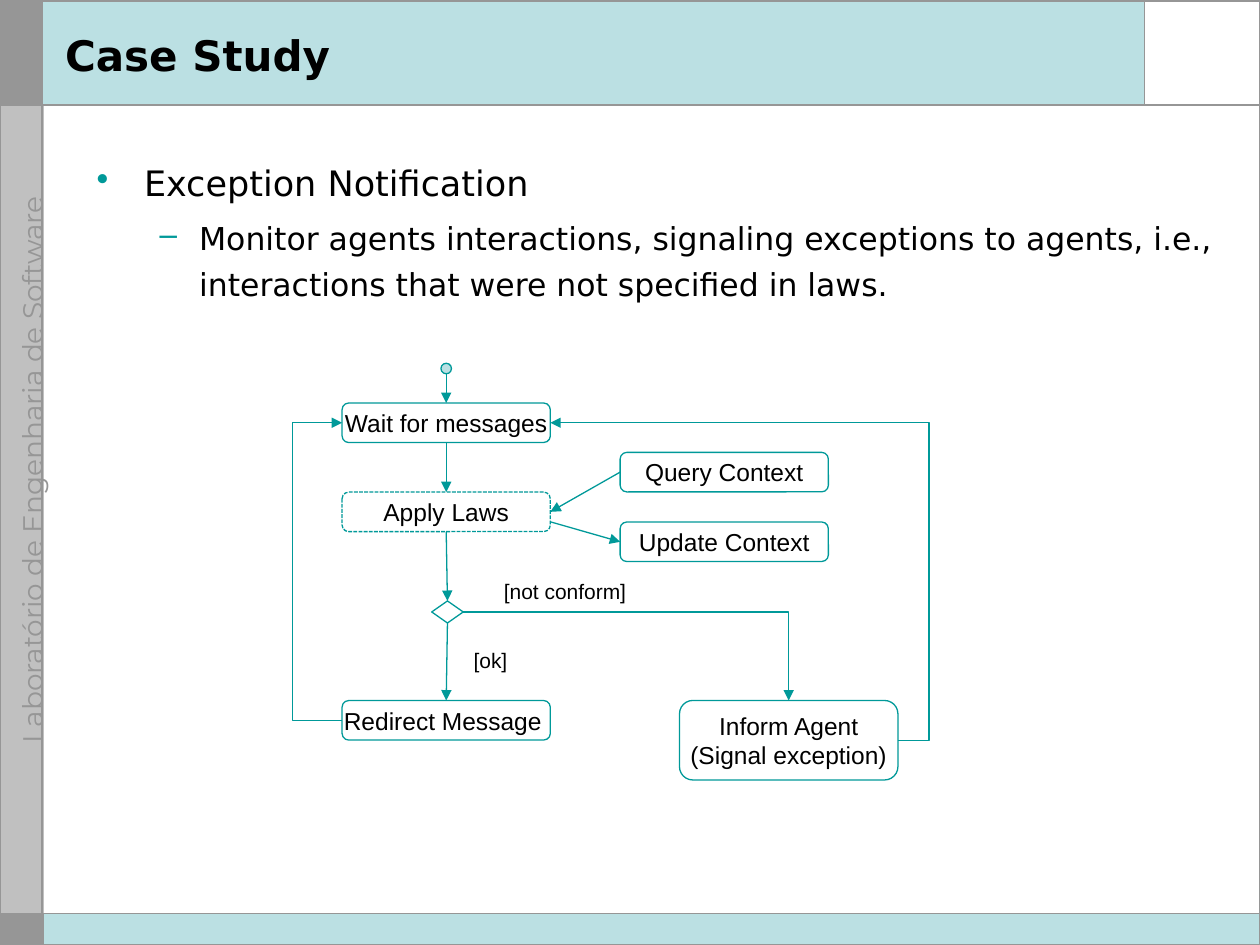
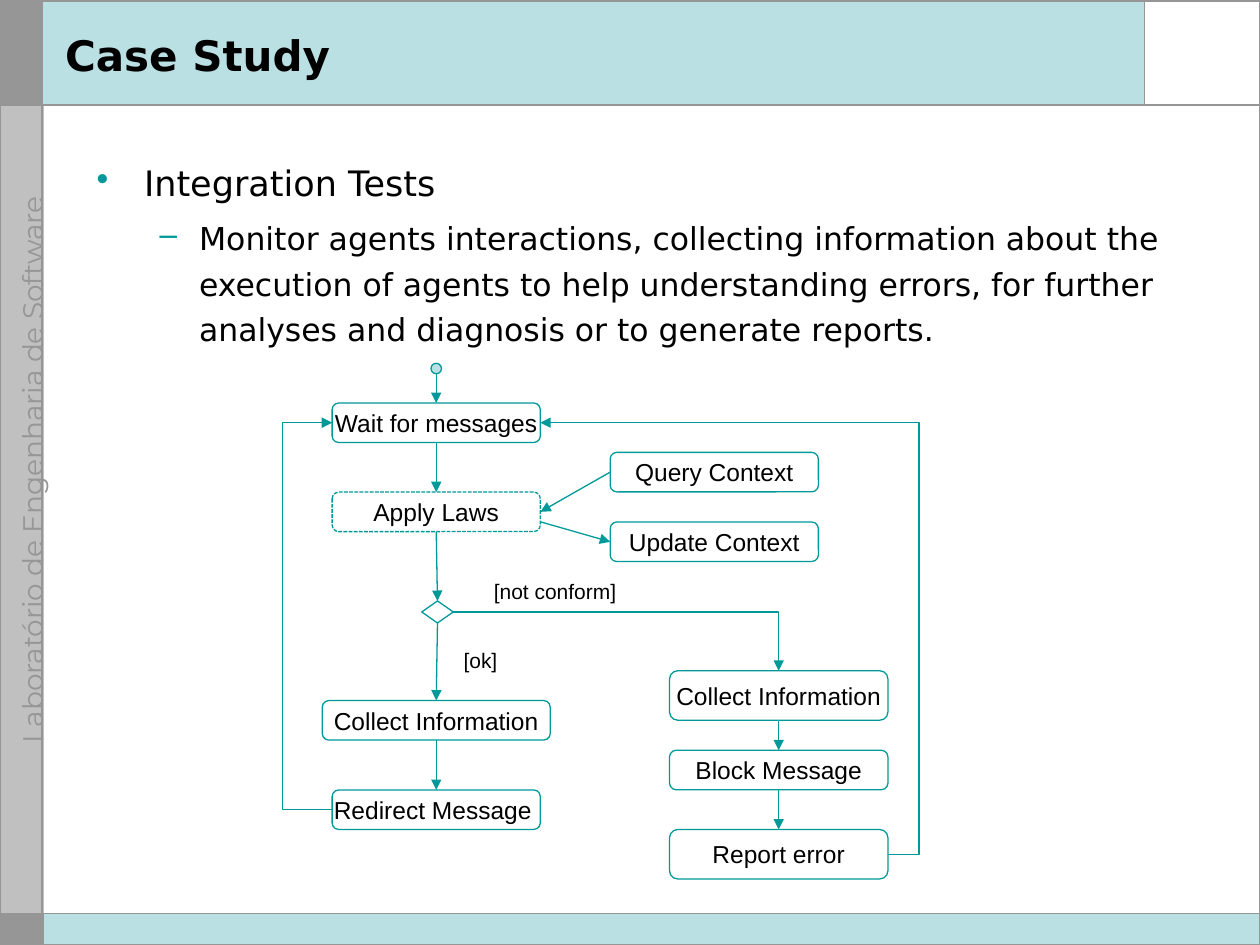
from dataclasses import dataclass

from lxml import etree
from pptx import Presentation
from pptx.dml.color import RGBColor
from pptx.enum.dml import MSO_LINE
from pptx.enum.shapes import MSO_CONNECTOR, MSO_SHAPE, PP_PLACEHOLDER
from pptx.enum.text import MSO_ANCHOR, MSO_AUTO_SIZE, PP_ALIGN
from pptx.oxml.ns import qn
from pptx.util import Pt

RECT, ROUND = MSO_SHAPE.RECTANGLE, MSO_SHAPE.ROUNDED_RECTANGLE
OVAL, DIAMOND = MSO_SHAPE.OVAL, MSO_SHAPE.DIAMOND
STRAIGHT, ELBOW = MSO_CONNECTOR.STRAIGHT, MSO_CONNECTOR.ELBOW
LEFT, CENTER = PP_ALIGN.LEFT, PP_ALIGN.CENTER
TOP, MIDDLE = MSO_ANCHOR.TOP, MSO_ANCHOR.MIDDLE
DOTS = MSO_LINE.SQUARE_DOT
# Connection sites
NORTH, WEST, SOUTH, EAST = range(4)


@dataclass(frozen=True)
class Theme:
    black: str = "000000"
    white: str = "FFFFFF"
    teal: str = "009999"
    pale: str = "BBE0E3"
    gray: str = "969696"
    silver: str = "C0C0C0"
    body: str = "DejaVu Sans"
    chart: str = "Arial"
    side: str = "Montserrat"
    title: int = 24
    head: int = 20
    sub: int = 18
    strip: int = 16
    node: int = 14
    label: int = 12
    thin: float = 0.75
    rule: float = 1


T = Theme()
WIDE, HIGH = 720, 540
BAND, FOOT, SIDE, CORNER = 60, 522, 24, 654

# Flow chart measures
BOX_W, BOX_H = 119, 22.6
END_W = 124.8
WAIT_Y, LAWS_Y, TEST_Y = 230.3, 281.2, 343.4
QUERY_Y, UPDATE_Y = 258.5, 298.3
OK_Y = 400.3
SIDE_DX, END_DX = 158.9, 195.7
LOOP_L, LOOP_R = -88, 276


def rgb(code):
    return RGBColor.from_string(code)


def bullet(para, char, left, hang):
    """Give a paragraph a coloured bullet and a hanging indent."""
    props = para._p.get_or_add_pPr()
    props.set("marL", str(Pt(left)))
    props.set("indent", str(-Pt(hang)))
    tint = etree.SubElement(props, qn("a:buClr"))
    etree.SubElement(tint, qn("a:srgbClr")).set("val", T.teal)
    etree.SubElement(props, qn("a:buChar")).set("char", char)


def write(frame, text, size=T.node, font=T.chart, color=T.black, bold=False,
          align=LEFT, anchor=TOP, wrap=False, mark=None, space=None, before=0):
    """Add one paragraph per line of text to a frame."""
    frame.word_wrap = wrap
    frame.auto_size = MSO_AUTO_SIZE.NONE
    frame.vertical_anchor = anchor
    for line in text.split("\n"):
        para = frame.add_paragraph() if frame.text else frame.paragraphs[0]
        if mark:
            bullet(para, *mark)
        para.alignment = align
        if space:
            para.line_spacing = space
        if before:
            para.space_before = Pt(before)
        run = para.add_run()
        run.text = line
        run.font.size, run.font.name, run.font.bold = Pt(size), font, bold
        run.font.color.rgb = rgb(color)


def shape(shapes, kind, x, y, w, h, fill=None, line=None, width=T.thin):
    item = shapes.add_shape(kind, Pt(x), Pt(y), Pt(w), Pt(h))
    item.shadow.inherit = False
    if fill:
        item.fill.solid()
        item.fill.fore_color.rgb = rgb(fill)
    else:
        item.fill.background()
    if line:
        item.line.color.rgb = rgb(line)
        item.line.width = Pt(width)
    else:
        item.line.fill.background()
    return item


def label(shapes, text, x, y, w, h, **form):
    box = shapes.add_textbox(Pt(x), Pt(y), Pt(w), Pt(h))
    write(box.text_frame, text, **form)
    return box


def node(shapes, text, mid, y, w=BOX_W, h=BOX_H):
    """Rounded step of the flow, centred on mid."""
    box = shape(shapes, ROUND, mid - w / 2, y, w, h, line=T.teal)
    box.adjustments[0] = 0.167
    write(box.text_frame, text, align=CENTER, anchor=MIDDLE)
    return box


def wire(shapes, kind=STRAIGHT, ends=(0, 0, 0, 0), color=T.teal, width=T.thin):
    line = shapes.add_connector(kind, *map(Pt, ends))
    line.line.color.rgb = rgb(color)
    line.line.width = Pt(width)
    etree.SubElement(line.element.spPr, qn("a:effectLst"))
    return line


def arrow(shapes, start, goal, kind=STRAIGHT):
    """Each end is a (shape, site) pair or an (x, y) point."""
    line = wire(shapes, kind)
    if hasattr(start[0], "shape_id"):
        line.begin_connect(*start)
    else:
        line.begin_x, line.begin_y = map(Pt, start)
    if hasattr(goal[0], "shape_id"):
        line.end_connect(*goal)
    else:
        line.end_x, line.end_y = map(Pt, goal)
    stroke = line.element.spPr.find(qn("a:ln"))
    etree.SubElement(stroke, qn("a:tailEnd")).set("type", "triangle")
    return line


def corner(shapes, start, goal):
    """Arrow with a single right-angle turn."""
    line = arrow(shapes, start, goal, ELBOW)
    line.element.spPr.find(qn("a:prstGeom")).set("prst", "bentConnector2")


def loop(shapes, start, goal, bend):
    """Arrow that runs out to x = bend and back."""
    line = arrow(shapes, start, goal, ELBOW)
    if abs(line.end_x - line.begin_x) < Pt(0.2):
        line.begin_x = line.end_x - Pt(0.2)  # the bend is a share of the width
    share = (Pt(bend) - line.begin_x) / (line.end_x - line.begin_x)
    geom = line.element.spPr.find(qn("a:prstGeom"))
    guides = geom.find(qn("a:avLst"))
    if guides is None:
        guides = etree.SubElement(geom, qn("a:avLst"))
    guide = etree.SubElement(guides, qn("a:gd"))
    guide.set("name", "adj1")
    guide.set("fmla", f"val {round(share * 100000)}")


def frame(slide, layout):
    """Draw bands and rules once and keep them on the layout."""
    shapes = slide.shapes
    shape(shapes, RECT, 0.5, 0.5, SIDE, BAND, T.gray, T.gray)
    shape(shapes, RECT, SIDE, 0, WIDE - SIDE, BAND, T.pale)
    shape(shapes, RECT, 0.5, BAND, SIDE, FOOT - BAND, T.silver, T.silver)
    shape(shapes, RECT, CORNER, 0, WIDE - CORNER, BAND, T.white)
    shape(shapes, RECT, SIDE, FOOT, WIDE - SIDE, HIGH - FOOT, T.pale)
    strip = label(shapes, "Laboratório de Engenharia de Software",
                  -132.5, 281.5, 288, 13, size=T.strip, font=T.side,
                  color=T.gray)
    strip.rotation = 270
    shape(shapes, RECT, 0.5, FOOT, SIDE, HIGH - FOOT - 0.5, T.gray, T.gray)
    for ends in ((CORNER, 0, CORNER, BAND), (0, BAND, WIDE, BAND),
                 (SIDE, 0, SIDE, HIGH), (0, FOOT, WIDE, FOOT)):
        wire(shapes, ends=ends, color=T.gray, width=T.rule)
    shape(shapes, RECT, 0, 0.5, WIDE, HIGH - 0.5, line=T.gray, width=T.rule)

    for spare in list(layout.placeholders):
        if spare.placeholder_format.type != PP_PLACEHOLDER.TITLE:
            layout.shapes.element.remove(spare.element)
    for item in list(shapes):
        if not item.is_placeholder:
            layout.shapes.element.append(item.element)


def heading(slide, text):
    title = slide.shapes.title
    title.left, title.top = Pt(30), Pt(9)
    title.width, title.height = Pt(618), Pt(45)
    write(title.text_frame, text, size=T.title, font=T.body, bold=True,
          anchor=MIDDLE, wrap=True)


def points(slide, head, sub):
    box = label(slide.shapes, head, 48.2, 84.2, 653.8, 420.5, size=T.head,
                font=T.body, wrap=True, mark=("•", 27, 27), space=1.2)
    write(box.text_frame, sub, size=T.sub, font=T.body, wrap=True,
          mark=("–", 58.5, 22.5), space=1.2, before=4.5)


def flow(shapes, mid):
    """Shared upper part of the flow; returns its first step and its test."""
    wait = node(shapes, "Wait for messages", mid, WAIT_Y)
    laws = node(shapes, "Apply Laws", mid, LAWS_Y)
    laws.line.dash_style = DOTS
    query = node(shapes, "Query Context", mid + SIDE_DX, QUERY_Y)
    update = node(shapes, "Update Context", mid + SIDE_DX, UPDATE_Y)
    shape(shapes, OVAL, mid - 3, 207.6, 6, 6, T.pale, T.teal)
    test = shape(shapes, DIAMOND, mid - 8.3, TEST_Y, 18, 12.6, line=T.teal)

    arrow(shapes, (mid, 213.4), (wait, NORTH))
    arrow(shapes, (wait, SOUTH), (laws, NORTH))
    arrow(shapes, (laws, SOUTH), (test, NORTH))
    arrow(shapes, (query, WEST), (laws, EAST))
    arrow(shapes, (mid + BOX_W / 2, 298.2), (update, WEST))
    label(shapes, "[not conform]", mid + 25.8, 327, 84, 21.6, size=T.label)
    label(shapes, "[ok]", mid + 8.5, 366.5, 34, 21.6, size=T.label)
    return wait, test


def link(shapes, mid, wait, test, good, bad):
    """Join the two branches, each a list of steps, to the shared part."""
    arrow(shapes, (test, SOUTH), (good[0], NORTH))
    corner(shapes, (test, EAST), (bad[0], NORTH))
    for chain in (good, bad):
        for above, below in zip(chain, chain[1:]):
            arrow(shapes, (above, SOUTH), (below, NORTH))
    loop(shapes, (good[-1], WEST), (wait, WEST), mid + LOOP_L)
    loop(shapes, (bad[-1], EAST), (wait, EAST), mid + LOOP_R)


def notify(slide):
    heading(slide, "Case Study")
    points(slide, "Exception Notification",
           "Monitor agents interactions, signaling exceptions to agents, "
           "i.e., interactions that were not specified in laws.")
    shapes, mid = slide.shapes, 255
    wait, test = flow(shapes, mid)
    good = [node(shapes, "Redirect Message ", mid, OK_Y)]
    bad = [node(shapes, "Inform Agent\n(Signal exception)", mid + END_DX,
                OK_Y, END_W, 45.4)]
    link(shapes, mid, wait, test, good, bad)


def tests(slide):
    heading(slide, "Case Study")
    points(slide, "Integration Tests",
           "Monitor agents interactions, collecting information about the "
           "execution of agents to help understanding errors, for further "
           "analyses and diagnosis or to generate reports.")
    shapes, mid = slide.shapes, 249.3
    wait, test = flow(shapes, mid)
    good = [node(shapes, "Collect Information", mid, OK_Y, 130.3),
            node(shapes, "Redirect Message ", mid, 451.4)]
    bad = [node(shapes, text, mid + END_DX, y, END_W, h) for text, y, h in (
        ("Collect Information", 383.3, 28.3),
        ("Block Message", 428.7, BOX_H),
        ("Report error", 474, 28.3))]
    link(shapes, mid, wait, test, good, bad)


def main():
    deck = Presentation()
    deck.slide_width, deck.slide_height = Pt(WIDE), Pt(HIGH)
    layout = deck.slide_layouts[5]
    first, second = (deck.slides.add_slide(layout) for _ in range(2))
    frame(first, layout)
    notify(first)
    tests(second)
    deck.save("out.pptx")


if __name__ == "__main__":
    main()
